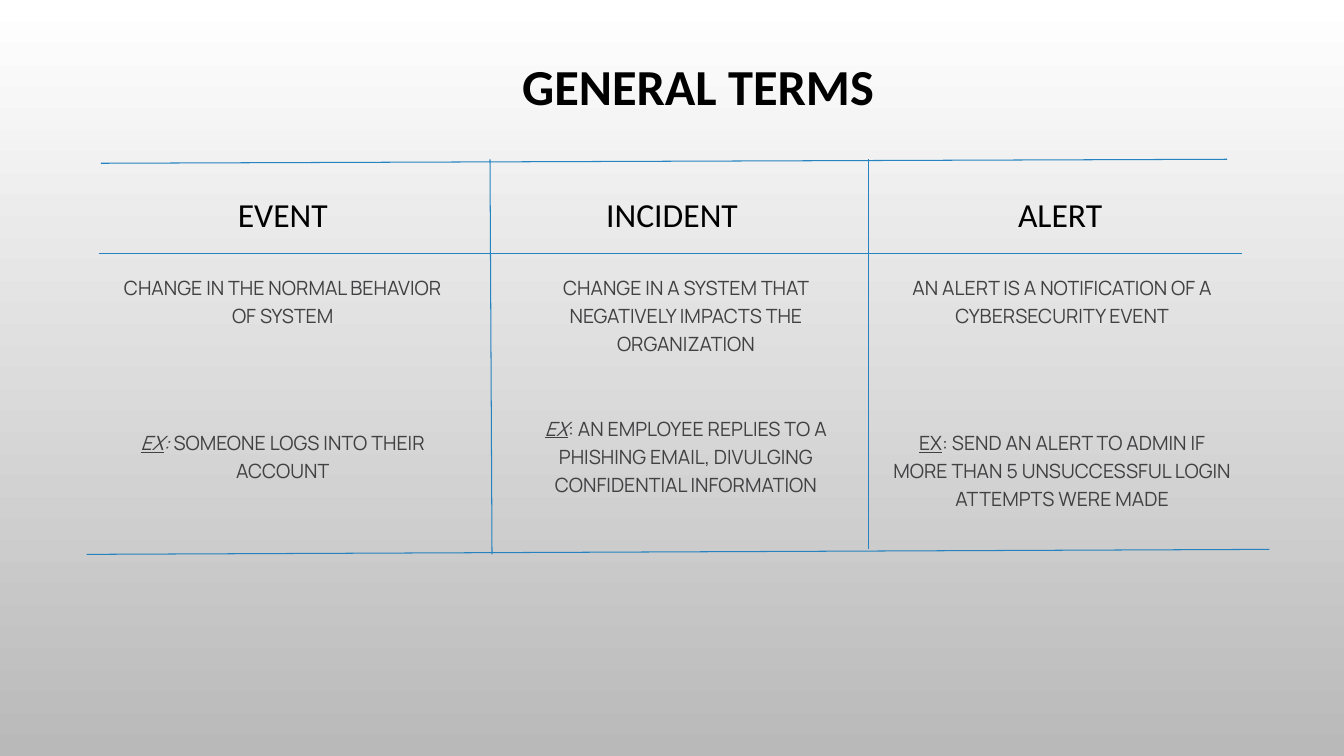
"""Build the General Terms slide comparing events, incidents and alerts."""
from typing import NamedTuple

from pptx import Presentation
from pptx.dml.color import RGBColor
from pptx.enum.shapes import MSO_CONNECTOR
from pptx.enum.text import MSO_ANCHOR as Anchor, PP_ALIGN as Align
from pptx.oxml.ns import qn
from pptx.slide import Slide
from pptx.text.text import TextFrame, _Paragraph as Paragraph
from pptx.util import Inches, Pt

BLACK = RGBColor(0x00, 0x00, 0x00)
WHITE = RGBColor(0xFF, 0xFF, 0xFF)
SILVER = RGBColor(0xB9, 0xB9, 0xB9)
CHARCOAL = RGBColor(0x41, 0x40, 0x42)
BLUE = RGBColor(0x26, 0x83, 0xBF)

WIDTH, HEIGHT = Inches(13.33), Inches(7.5)
COLUMN_WIDTH = 27.08
HEADING_TOP, HEADING_HEIGHT = 23.2, 8.4
BODY_TOP, BODY_HEIGHT = 35.2, 41.47
SPACING, ROW_PITCH = 10, 30.25


class Box(NamedTuple):
    """A rectangle in percent of the slide's size."""
    left: float
    top: float
    width: float
    height: float


class Term(NamedTuple):
    """One column: its left edges, texts, and rows left open before the example."""
    heading_left: float
    body_left: float
    heading: str
    meaning: str
    example: str
    open_rows: int
    italic_label: bool
    italic_colon: bool


class Rule(NamedTuple):
    """A line between two points in percent of the slide's size."""
    x1: float
    y1: float
    x2: float
    y2: float


TERMS = (
    Term(7.5, 7.5, "EVENT", "CHANGE IN THE NORMAL BEHAVIOR OF SYSTEM",
         "SOMEONE LOGS INTO THEIR ACCOUNT", 2, True, True),
    Term(36.46, 37.5, "INCIDENT",
         "CHANGE IN A SYSTEM THAT NEGATIVELY IMPACTS THE ORGANIZATION",
         "AN EMPLOYEE REPLIES TO A PHISHING EMAIL, DIVULGING CONFIDENTIAL INFORMATION",
         1, True, False),
    Term(65.34, 65.49, "ALERT",
         "AN ALERT IS A NOTIFICATION OF A CYBERSECURITY EVENT",
         "SEND AN ALERT TO ADMIN IF MORE THAN 5 UNSUCCESSFUL LOGIN ATTEMPTS WERE MADE",
         2, False, False),
)
RULES = (
    Rule(36.46, 21.07, 36.61, 73.33),
    Rule(64.59, 21.07, 64.59, 72.67),
    Rule(7.35, 33.6, 92.42, 33.6),
    Rule(6.45, 73.33, 94.45, 72.67),
    Rule(7.5, 21.6, 91.3, 21.07),
)


def across(share: float) -> int:
    """Turn a percentage of the slide's width into a length."""
    return round(WIDTH * share / 100)


def down(share: float) -> int:
    """Turn a percentage of the slide's height into a length."""
    return round(HEIGHT * share / 100)


def place(box: Box) -> tuple[int, int, int, int]:
    """Turn a box into left, top, width and height."""
    return across(box.left), down(box.top), across(box.width), down(box.height)


def style(p: Paragraph, font: str, size: int, color: RGBColor,
          line_spacing: float, before: float = 0) -> None:
    """Centre a paragraph and set its font and spacing."""
    p.alignment = Align.CENTER
    p.line_spacing, p.space_before = line_spacing, Pt(before)
    p.font.name, p.font.size, p.font.color.rgb = font, Pt(size), color


def add_box(s: Slide, box: Box, anchor: Anchor) -> TextFrame:
    """Add a wrapping text box and return its text frame."""
    tf = s.shapes.add_textbox(*place(box)).text_frame
    tf.word_wrap, tf.vertical_anchor = True, anchor
    return tf


def add_title(s: Slide, text: str) -> None:
    """Move, fill and format the title placeholder."""
    sp = s.shapes.title
    sp.left, sp.top, sp.width, sp.height = place(Box(9.45, 6.13, 85, 11.33))
    tf = sp.text_frame
    tf.text, tf.vertical_anchor = text, Anchor.MIDDLE
    p = tf.paragraphs[0]
    style(p, "Calibri", 36, BLACK, 0.9)
    p.font.bold = True


def add_term(s: Slide, term: Term) -> None:
    """Draw a column's heading, meaning and example."""
    tf = add_box(s, Box(term.heading_left, HEADING_TOP, COLUMN_WIDTH, HEADING_HEIGHT),
                 Anchor.BOTTOM)
    tf.text = term.heading
    style(tf.paragraphs[0], "Calibri", 24, BLACK, 0.85, SPACING)

    tf = add_box(s, Box(term.body_left, BODY_TOP, COLUMN_WIDTH, BODY_HEIGHT), Anchor.TOP)
    tf.text = term.meaning
    style(tf.paragraphs[0], "Manrope", 14, CHARCOAL, 1.2, SPACING)
    p = tf.add_paragraph()
    style(p, "Manrope", 14, CHARCOAL, 1.2, SPACING + ROW_PITCH * term.open_rows)
    label, colon, example = (p.add_run() for _ in range(3))
    label.text, colon.text, example.text = "EX", ": ", term.example
    label.font.underline = True
    label.font.italic, colon.font.italic = term.italic_label, term.italic_colon


def add_rule(s: Slide, rule: Rule) -> None:
    """Draw a thin blue line without a shadow."""
    line = s.shapes.add_connector(MSO_CONNECTOR.STRAIGHT, across(rule.x1), down(rule.y1),
                                  across(rule.x2), down(rule.y2))
    line.line.color.rgb, line.line.width = BLUE, Pt(0.75)
    sp_pr = line._element.spPr
    sp_pr.append(sp_pr.makeelement(qn("a:effectLst"), {}))


def paint_background(s: Slide) -> None:
    """Shade the slide from white at the top to silver at the bottom."""
    fill = s.background.fill
    fill.gradient()
    fill.gradient_angle = 270
    for stop, position, color in zip(fill.gradient_stops, (0, 1), (WHITE, SILVER)):
        stop.position, stop.color.rgb = position, color


def main() -> None:
    """Build and save the slide."""
    prs = Presentation()
    prs.slide_width, prs.slide_height = WIDTH, HEIGHT
    s = prs.slides.add_slide(prs.slide_layouts.get_by_name("Title Only"))
    paint_background(s)
    add_title(s, "GENERAL TERMS")
    for term in TERMS:
        add_term(s, term)
    for rule in RULES:
        add_rule(s, rule)
    prs.save("out.pptx")


main()
